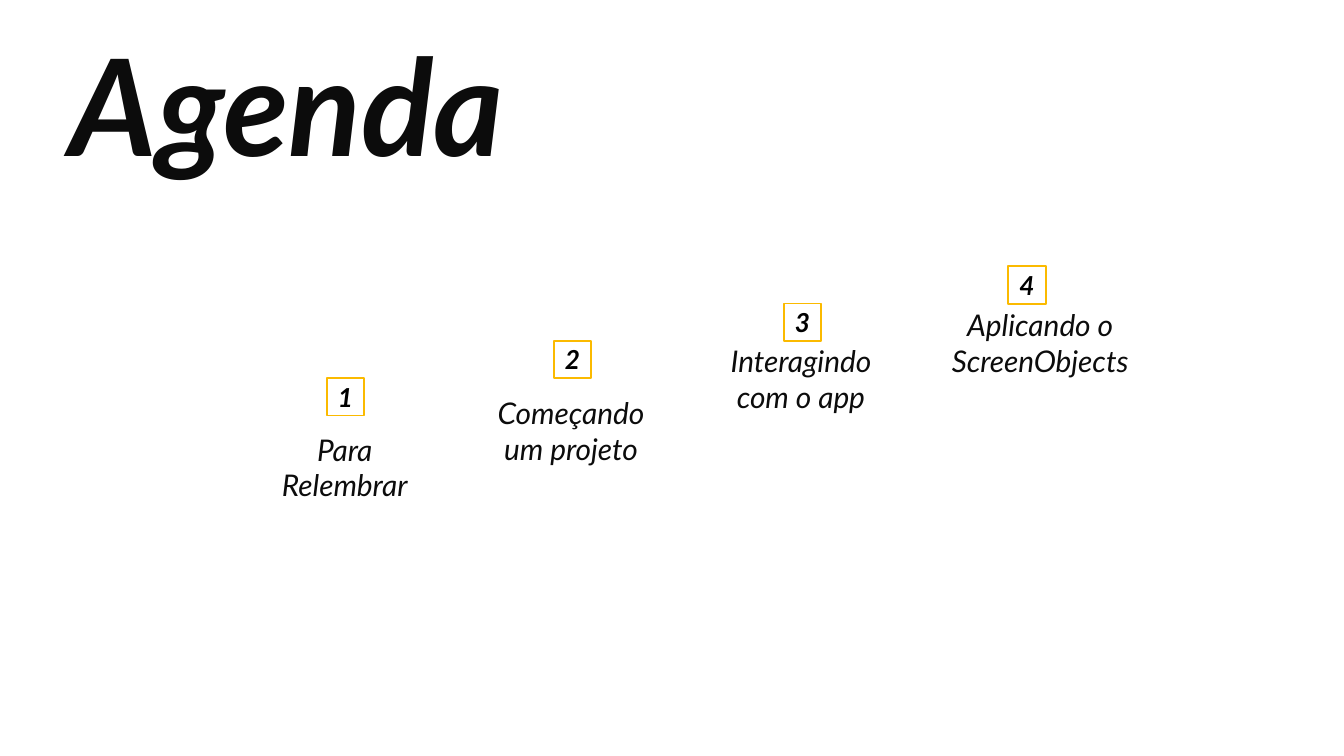
from typing import NamedTuple

from pptx import Presentation
from pptx.dml.color import RGBColor
from pptx.enum.shapes import MSO_SHAPE
from pptx.enum.text import MSO_ANCHOR, PP_ALIGN
from pptx.shapes.autoshape import Shape
from pptx.slide import Slide
from pptx.util import Pt

BLACK = RGBColor(0x00, 0x00, 0x00)
INK = RGBColor(0x0C, 0x0C, 0x0C)
AMBER = RGBColor(0xFB, 0xBA, 0x00)
FONT = "Lato"

BADGE_SIZE = 20.2
FIRST_BADGE_TOP = 202.4
STEP_RISE = 19.9
LABEL_HEIGHT = 38.9


class Topic(NamedTuple):
    text: str
    badge_left: float
    label_left: float
    label_top: float
    label_width: float


TOPICS = [
    Topic("Para Relembrar", 175, 146.9, 231.1, 75.6),
    Topic("Começando um projeto", 296.6, 257, 211.7, 97.9),
    Topic("Interagindo com o app", 419.8, 382.3, 183.6, 93.6),
    Topic("Aplicando o ScreenObjects", 540, 490.3, 164.2, 133.9),
]


def write(sp: Shape, text: str, size: float, color: RGBColor, bold: bool,
          align: PP_ALIGN, anchor: MSO_ANCHOR) -> None:
    """Fill a shape with one italic paragraph and no margins."""
    tf = sp.text_frame
    tf.text = text
    tf.word_wrap = True
    tf.vertical_anchor = anchor
    tf.margin_left = tf.margin_top = tf.margin_right = tf.margin_bottom = Pt(0)
    p = tf.paragraphs[0]
    p.alignment = align
    font = p.runs[0].font
    font.name, font.size = FONT, Pt(size)
    font.bold, font.italic = bold, True
    font.color.rgb = color


def add_title(s: Slide, text: str) -> None:
    sp = s.shapes.add_textbox(Pt(37.4), Pt(11.5), Pt(250.6), Pt(87.1))
    write(sp, text, 72, INK, True, PP_ALIGN.LEFT, MSO_ANCHOR.MIDDLE)


def add_badge(s: Slide, number: int, left: float, top: float) -> None:
    sp = s.shapes.add_shape(MSO_SHAPE.RECTANGLE, Pt(left), Pt(top),
                            Pt(BADGE_SIZE), Pt(BADGE_SIZE))
    sp.shadow.inherit = False
    sp.fill.background()
    sp.line.color.rgb = AMBER
    sp.line.width = Pt(1)
    write(sp, str(number), 14, BLACK, True, PP_ALIGN.CENTER, MSO_ANCHOR.MIDDLE)


def add_topic(s: Slide, number: int, topic: Topic) -> None:
    """Draw a numbered badge, one step above the previous one, and its label."""
    add_badge(s, number, topic.badge_left,
              FIRST_BADGE_TOP - (number - 1) * STEP_RISE)
    sp = s.shapes.add_textbox(Pt(topic.label_left), Pt(topic.label_top),
                              Pt(topic.label_width), Pt(LABEL_HEIGHT))
    write(sp, topic.text, 16, INK, False, PP_ALIGN.CENTER, MSO_ANCHOR.TOP)


def main() -> None:
    prs = Presentation()
    prs.slide_width, prs.slide_height = Pt(720), Pt(405)
    s = prs.slides.add_slide(prs.slide_layouts[6])
    add_title(s, "Agenda")
    for number, topic in enumerate(TOPICS, start=1):
        add_topic(s, number, topic)
    prs.save("out.pptx")


if __name__ == "__main__":
    main()
